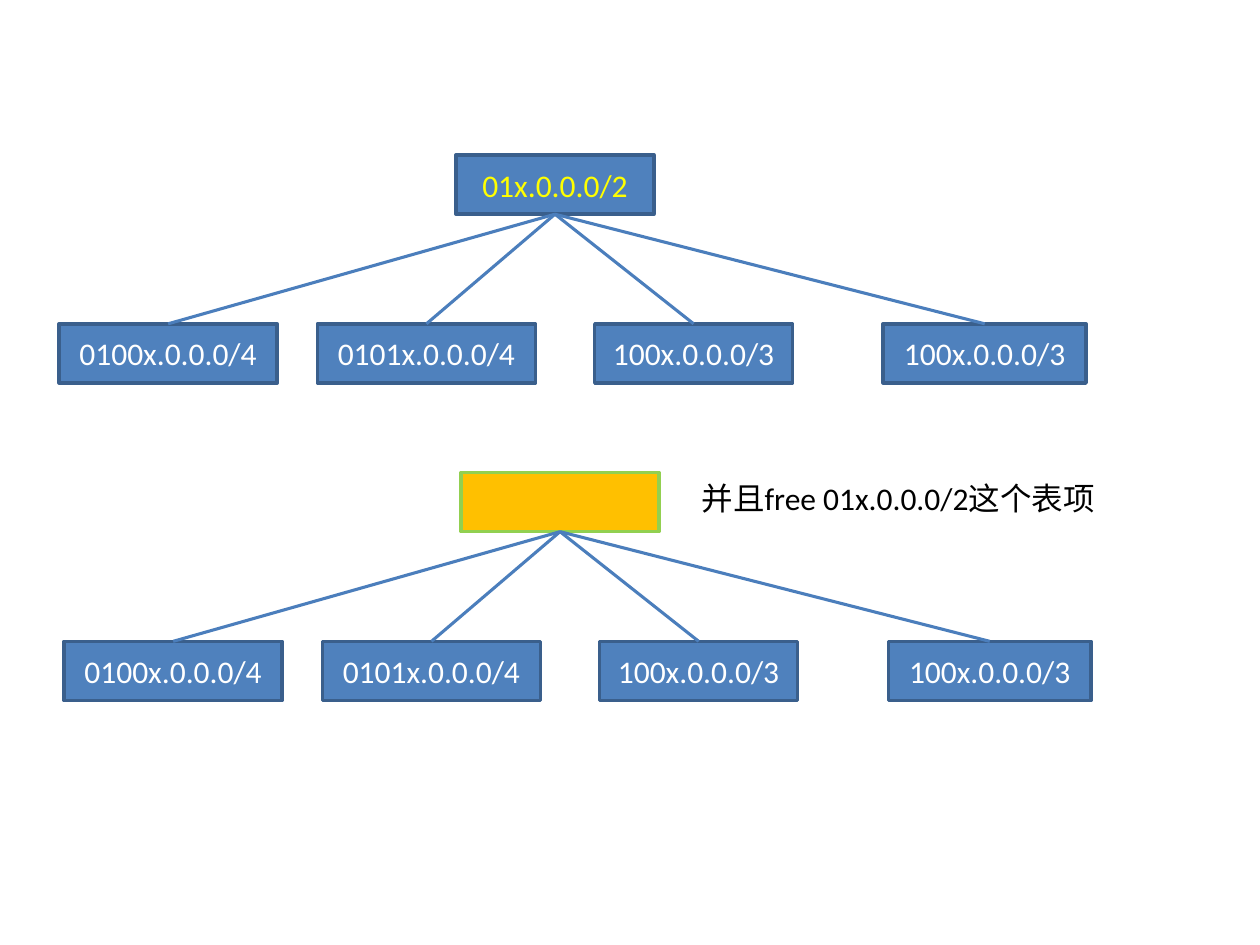
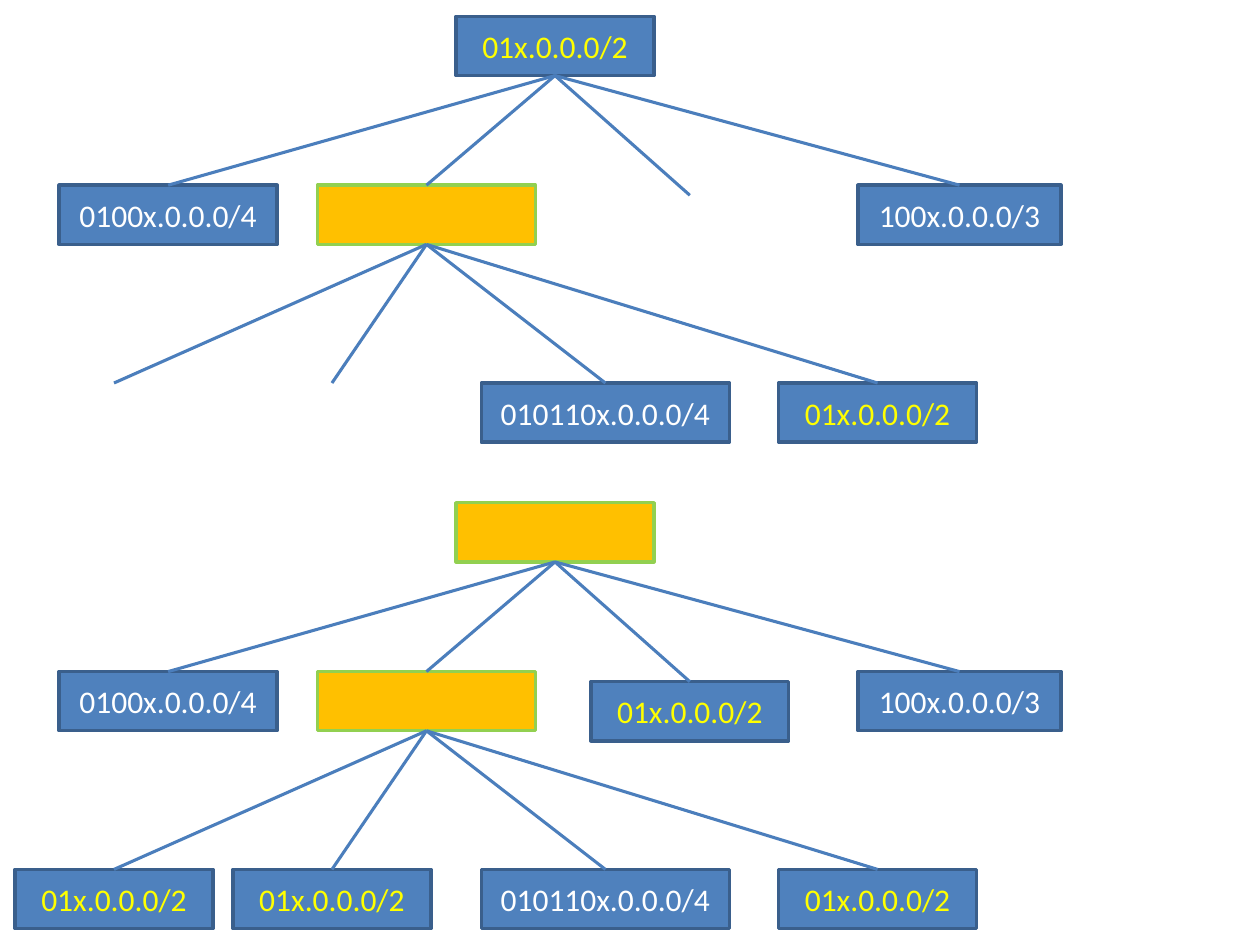
from dataclasses import dataclass

import pptx
import pptx.dml.color
import pptx.enum.shapes
import pptx.enum.text
import pptx.oxml
import pptx.oxml.ns
import pptx.util
from pptx.dml.color import RGBColor
from pptx.util import Inches

ROUTE_FILL = RGBColor(0x4F, 0x81, 0xBD)
ROUTE_EDGE = RGBColor(0x3A, 0x5F, 0x8C)
BRANCH_FILL = RGBColor(0xFF, 0xC0, 0x00)
BRANCH_EDGE = RGBColor(0x92, 0xD0, 0x50)
LINK = RGBColor(0x4B, 0x7E, 0xBC)
WHITE = RGBColor(0xFF, 0xFF, 0xFF)
YELLOW = RGBColor(0xFF, 0xFF, 0x00)
BLACK = RGBColor(0x00, 0x00, 0x00)

FONT = "Calibri"
TEXT_SIZE = pptx.util.Pt(18)
ENTRY_HEIGHT = 0.47
TOP_SITE, BOTTOM_SITE = 0, 2

SHORT, MEDIUM, LONG, LONGEST = 1.57, 1.61, 1.73, 1.97
PARENT_ROUTE = "01x.0.0.0/2"
BRANCH = ""
MISSING = None


@dataclass
class Entry:
    left: float
    top: float
    width: float
    label: str | None
    children: tuple = ()


def style_text(paragraph, color):
    paragraph.font.name = FONT
    paragraph.font.size = TEXT_SIZE
    paragraph.font.color.rgb = color


def draw_entry(slide, entry, left, top):
    box = slide.shapes.add_shape(
        pptx.enum.shapes.MSO_SHAPE.RECTANGLE,
        Inches(left + entry.left), Inches(top + entry.top),
        Inches(entry.width), Inches(ENTRY_HEIGHT))
    box.shadow.inherit = False
    is_branch = entry.label == BRANCH
    box.fill.solid()
    box.fill.fore_color.rgb = BRANCH_FILL if is_branch else ROUTE_FILL
    box.line.color.rgb = BRANCH_EDGE if is_branch else ROUTE_EDGE
    box.line.width = pptx.util.Pt(2)
    if not is_branch:
        box.text_frame.vertical_anchor = pptx.enum.text.MSO_ANCHOR.MIDDLE
        label = box.text_frame.paragraphs[0]
        label.text = entry.label
        label.alignment = pptx.enum.text.PP_ALIGN.CENTER
        style_text(label, YELLOW if entry.label == PARENT_ROUTE else WHITE)
    return box


def draw_link(slide, parent_box, child, child_box, left, top):
    link = slide.shapes.add_connector(
        pptx.enum.shapes.MSO_CONNECTOR.STRAIGHT, 0, 0,
        Inches(left + child.left + child.width / 2), Inches(top + child.top))
    link.begin_connect(parent_box, BOTTOM_SITE)
    if child_box is not None:
        link.end_connect(child_box, TOP_SITE)
    link.line.color.rgb = LINK
    link.line.width = pptx.util.Pt(1.75)
    properties = link._element.spPr
    properties.append(pptx.oxml.parse_xml(
        f"<a:effectLst {pptx.oxml.ns.nsdecls('a')}/>"))


def draw_tree(slide, entry, left, top):
    if entry.label is MISSING:
        return None
    box = draw_entry(slide, entry, left, top)
    for child in entry.children:
        child_box = draw_tree(slide, child, left, top)
        draw_link(slide, box, child, child_box, left, top)
    return box


def draw_note(slide, text, left, top, width, height):
    note = slide.shapes.add_textbox(
        Inches(left), Inches(top), Inches(width), Inches(height))
    note.text_frame.word_wrap = True
    paragraph = note.text_frame.paragraphs[0]
    paragraph.text = text
    style_text(paragraph, BLACK)


def full_node_tree(root_label):
    return Entry(3.15, 0, SHORT, root_label, (
        Entry(0, 1.34, LONG, "0100x.0.0.0/4"),
        Entry(2.05, 1.34, LONG, "0101x.0.0.0/4"),
        Entry(4.25, 1.34, SHORT, "100x.0.0.0/3"),
        Entry(6.54, 1.34, MEDIUM, "100x.0.0.0/3")))


def nested_tree(root_label, gap_label):
    nested_branch = Entry(2.4, 1.34, LONG, BRANCH, (
        Entry(0, 2.91, SHORT, gap_label),
        Entry(1.73, 2.91, SHORT, gap_label),
        Entry(3.7, 2.91, LONGEST, "010110x.0.0.0/4"),
        Entry(6.06, 2.91, SHORT, PARENT_ROUTE)))
    return Entry(3.5, 0, SHORT, root_label, (
        Entry(0.35, 1.34, LONG, "0100x.0.0.0/4"),
        nested_branch,
        Entry(4.57, 1.42, SHORT, gap_label),
        Entry(6.69, 1.34, MEDIUM, "100x.0.0.0/3")))


def build_full_node_slide(slide):
    draw_tree(slide, full_node_tree(PARENT_ROUTE), 0.47, 1.23)
    draw_tree(slide, full_node_tree(BRANCH), 0.51, 3.75)
    draw_note(slide, "并且free 01x.0.0.0/2这个表项", 5.47, 3.75, 3.35, 0.4)


def build_nested_slide(slide):
    draw_tree(slide, nested_tree(PARENT_ROUTE, MISSING), 0.12, 0.13)
    draw_tree(slide, nested_tree(BRANCH, PARENT_ROUTE), 0.12, 3.99)


def main():
    deck = pptx.Presentation()
    deck.slide_width, deck.slide_height = Inches(10), Inches(7.5)
    blank_layout = deck.slide_layouts[6]
    for build in (build_full_node_slide, build_nested_slide):
        build(deck.slides.add_slide(blank_layout))
    deck.save("out.pptx")


if __name__ == "__main__":
    main()
